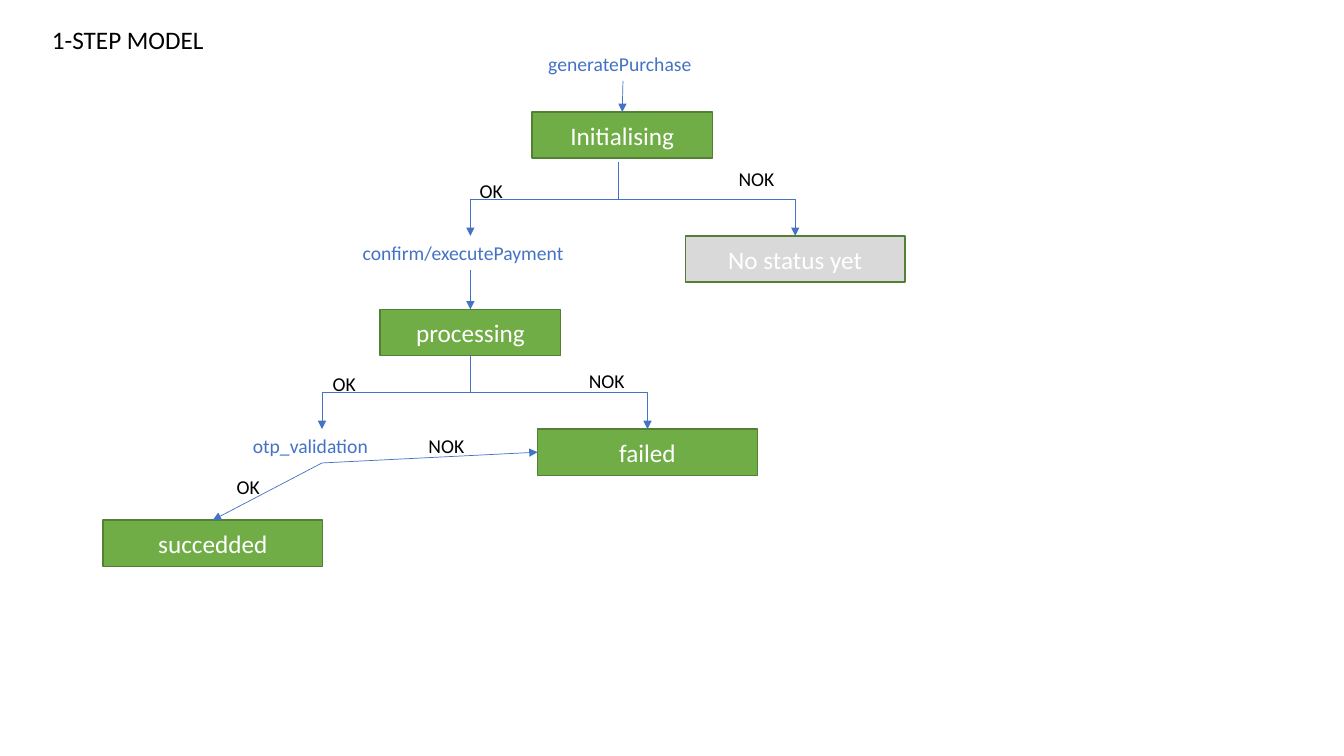
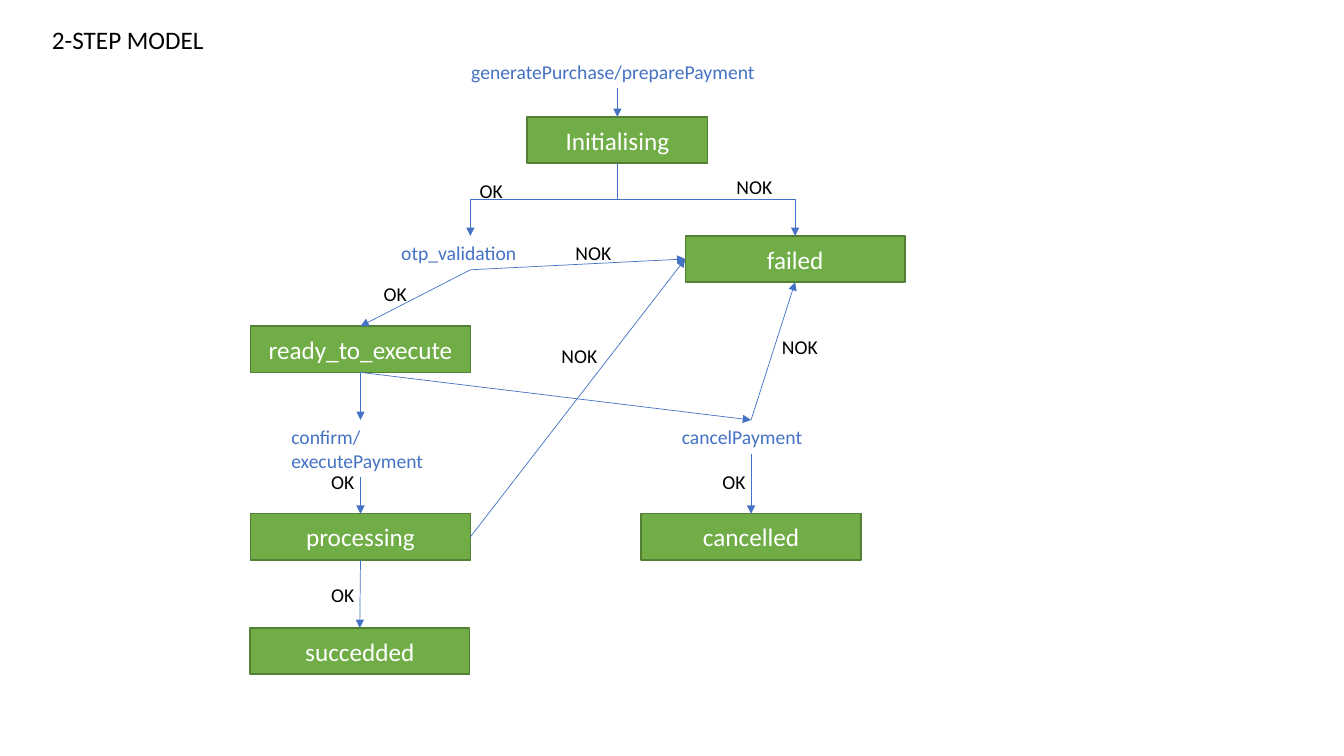
"""Build two slides charting the states of the one-step and two-step payment models."""
from dataclasses import dataclass

from lxml import etree
from pptx import Presentation
from pptx import util as u
from pptx.dml.color import RGBColor
from pptx.enum import shapes, text
from pptx.oxml import ns

HUES = {
    "state": "70AD47",
    "edge": "538035",
    "none": "D9D9D9",
    "call": "4472C4",
    "ink": "000000",
    "pale": "FFFFFF",
}
FONT = "Calibri"
TOP, LEFT, BASE, RIGHT = range(4)
WIDE, SLIM, TALL = 157, 129, 33
LINE = 24.2
FORK = (441.5, 116)


@dataclass(frozen=True)
class State:
    name: str
    x: float
    y: float
    w: float = WIDE
    fill: str = "state"


@dataclass(frozen=True)
class Note:
    name: str
    x: float
    y: float
    w: float = 113
    h: float = LINE
    hue: str = "call"
    size: float = 14


@dataclass(frozen=True)
class Link:
    start: tuple
    end: tuple
    bent: bool = False


@dataclass(frozen=True)
class Model:
    title: str
    states: list[State]
    calls: list[Note]
    marks: list[tuple[str, float, float]]
    links: list[Link]


def down(start: str, end: str) -> Link:
    return Link((start, BASE), (end, TOP))


def bend(start: tuple, end: str) -> Link:
    return Link(start, (end, TOP), True)


MODELS = [
    Model(
        "1-STEP MODEL",
        [
            State("Initialising", 380, 80, SLIM),
            State("No status yet", 489.5, 168.5, fill="none"),
            State("processing", 271.5, 221, SLIM),
            State("failed", 384, 306.5),
            State("succedded", 73.5, 371.5),
        ],
        [
            Note("generatePurchase", 384.5, 33.5, 121),
            Note("confirm/executePayment", 252, 168.5, 168),
            Note("otp_validation", 173.5, 306.5),
        ],
        [
            ("OK", 335.5, 124),
            ("NOK", 520.5, 116),
            ("OK", 230.5, 262),
            ("NOK", 413.5, 260),
            ("NOK", 299, 306.5),
            ("OK", 162, 335.5),
        ],
        [
            down("generatePurchase", "Initialising"),
            bend(FORK, "confirm/executePayment"),
            bend(FORK, "No status yet"),
            down("confirm/executePayment", "processing"),
            bend(("processing", BASE), "otp_validation"),
            bend(("processing", BASE), "failed"),
            Link(("otp_validation", BASE), ("failed", LEFT)),
            down("otp_validation", "succedded"),
        ],
    ),
    Model(
        "2-STEP MODEL",
        [
            State("Initialising", 376.5, 83.5, SLIM),
            State("failed", 489.5, 168.5),
            State("ready_to_execute", 179, 233),
            State("processing", 179, 367),
            State("cancelled", 458, 367),
            State("succedded", 178.5, 448.5),
        ],
        [
            Note("generatePurchase/preparePayment", 329.5, 39, 223),
            Note("otp_validation", 279.5, 168.5),
            Note("confirm/executePayment", 201, 300, h=41),
            Note("cancelPayment", 480, 300),
        ],
        [
            ("OK", 335.5, 124),
            ("NOK", 519, 121.5),
            ("NOK", 404, 168.5),
            ("OK", 267, 197.5),
            ("NOK", 394, 242),
            ("NOK", 551.5, 235.5),
            ("OK", 229.5, 332),
            ("OK", 509, 332),
            ("OK", 229.5, 412.5),
        ],
        [
            down("generatePurchase/preparePayment", "Initialising"),
            bend(("Initialising", BASE), "otp_validation"),
            bend(("Initialising", BASE), "failed"),
            Link(("otp_validation", BASE), ("failed", LEFT)),
            down("otp_validation", "ready_to_execute"),
            down("ready_to_execute", "confirm/executePayment"),
            down("ready_to_execute", "cancelPayment"),
            down("confirm/executePayment", "processing"),
            Link(("processing", RIGHT), ("failed", LEFT)),
            down("processing", "succedded"),
            down("cancelPayment", "cancelled"),
            Link(("cancelPayment", TOP), ("failed", BASE)),
        ],
    ),
]


def tint(hue: str) -> RGBColor:
    return RGBColor.from_string(HUES[hue])


def write(frame, words: str, size: float, hue: str) -> None:
    run = frame.paragraphs[0].add_run()
    run.text = words
    run.font.name = FONT
    run.font.size = u.Pt(size)
    run.font.color.rgb = tint(hue)


def draw_state(slide, state: State):
    box = slide.shapes.add_shape(
        shapes.MSO_SHAPE.RECTANGLE,
        u.Pt(state.x), u.Pt(state.y), u.Pt(state.w), u.Pt(TALL),
    )
    box.shadow.inherit = False
    box.fill.solid()
    box.fill.fore_color.rgb = tint(state.fill)
    box.line.color.rgb = tint("edge")
    box.line.width = u.Pt(1)
    frame = box.text_frame
    frame.vertical_anchor = text.MSO_ANCHOR.MIDDLE
    frame.paragraphs[0].alignment = text.PP_ALIGN.CENTER
    write(frame, state.name, 18, "pale")
    return box


def draw_note(slide, note: Note):
    box = slide.shapes.add_textbox(
        u.Pt(note.x), u.Pt(note.y), u.Pt(note.w), u.Pt(note.h)
    )
    frame = box.text_frame
    frame.word_wrap = True
    frame.auto_size = text.MSO_AUTO_SIZE.SHAPE_TO_FIT_TEXT
    write(frame, note.name, note.size, note.hue)
    return box


def turn(line) -> None:
    dx, dy = line.end_x - line.begin_x, line.end_y - line.begin_y
    mid_x, mid_y = line.begin_x + dx // 2, line.begin_y + dy // 2
    line.width, line.height = dy, abs(dx)
    line.left, line.top = mid_x - dy // 2, mid_y - abs(dx) // 2
    form = line._element.spPr.find(ns.qn("a:xfrm"))
    form.set("rot", str((270 if dx > 0 else 90) * 60000))
    form.set("flipH", "1" if dx > 0 else "0")
    form.set("flipV", "0")


def draw_link(slide, link: Link, nodes: dict) -> None:
    kinds = shapes.MSO_CONNECTOR
    kind = kinds.ELBOW if link.bent else kinds.STRAIGHT
    free = not isinstance(link.start[0], str)
    x, y = link.start if free else (0, 0)
    line = slide.shapes.add_connector(kind, u.Pt(x), u.Pt(y), u.Pt(x), u.Pt(y))
    if not free:
        line.begin_connect(nodes[link.start[0]], link.start[1])
    line.end_connect(nodes[link.end[0]], link.end[1])
    if link.bent:
        turn(line)
    line.line.color.rgb = tint("call")
    line.line.width = u.Pt(0.5)
    props = line._element.spPr
    stroke = props.find(ns.qn("a:ln"))
    etree.SubElement(stroke, ns.qn("a:tailEnd"), type="triangle")
    etree.SubElement(props, ns.qn("a:effectLst"))


def draw_model(deck, model: Model) -> None:
    slide = deck.slides.add_slide(deck.slide_layouts[6])
    draw_note(slide, Note(model.title, 30, 13.5, 166.5, 29, "ink", 18))
    nodes = {state.name: draw_state(slide, state) for state in model.states}
    nodes |= {call.name: draw_note(slide, call) for call in model.calls}
    for link in model.links:
        draw_link(slide, link, nodes)
    for name, x, y in model.marks:
        width = 35.5 if name == "OK" else 41
        draw_note(slide, Note(name, x, y, width, hue="ink"))


def main() -> None:
    deck = Presentation()
    deck.slide_width, deck.slide_height = u.Pt(960), u.Pt(540)
    for model in MODELS:
        draw_model(deck, model)
    deck.save("out.pptx")


if __name__ == "__main__":
    main()
